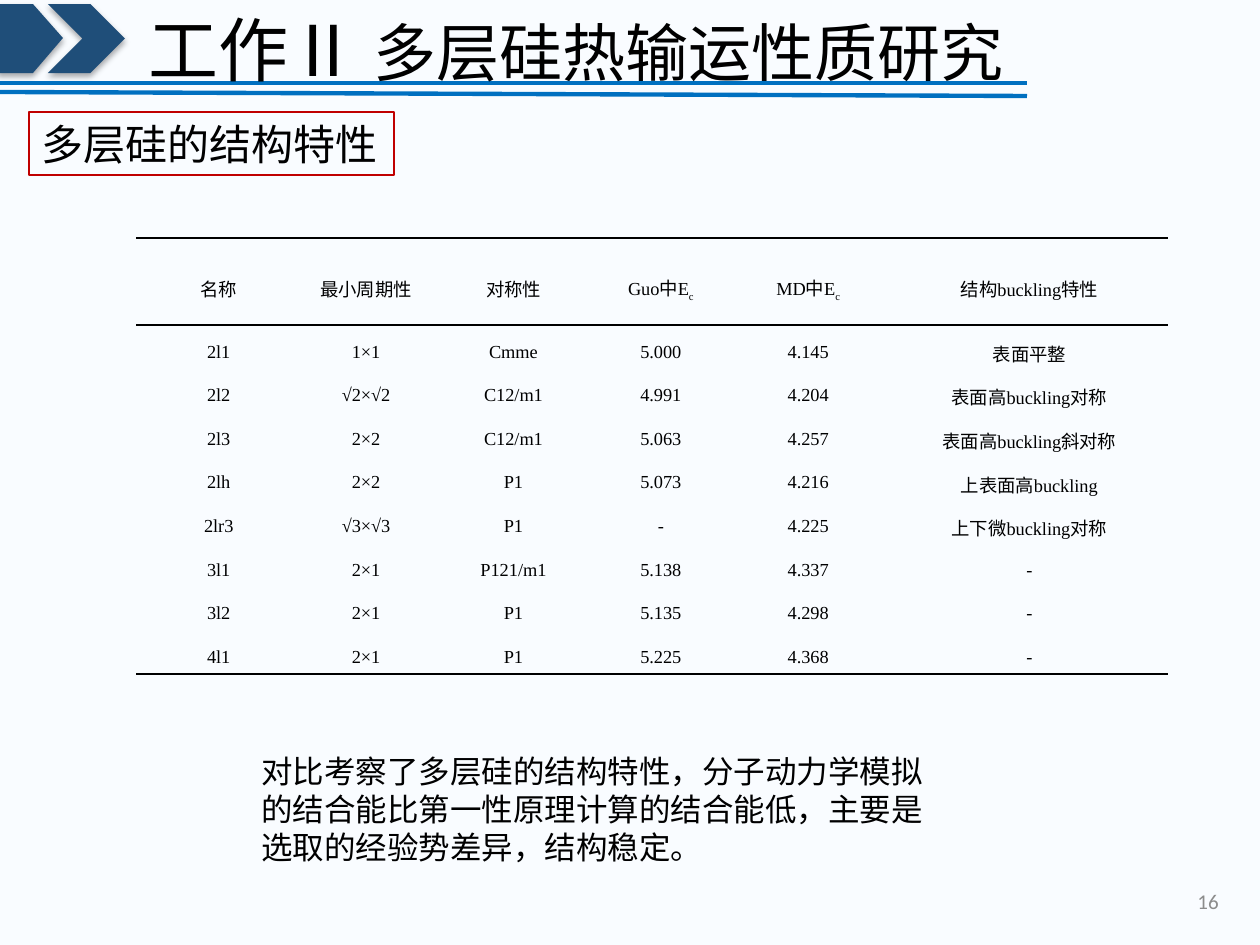
from dataclasses import dataclass
from lxml import etree
from pptx import Presentation
from pptx.dml.color import RGBColor
from pptx.enum.shapes import MSO_CONNECTOR, MSO_SHAPE
from pptx.enum.text import MSO_ANCHOR, PP_ALIGN
from pptx.oxml import parse_xml
from pptx.oxml.ns import nsdecls, qn
from pptx.util import Emu, Pt


@dataclass(frozen=True)
class Theme:
    background: str = "F9FCFF"
    chevron: str = "1F4E79"
    rule: str = "0070C0"
    frame: str = "C00000"
    ink: str = "000000"
    muted: str = "8C8C8C"
    body_font: str = "Calibri"
    table_font: str = "Times New Roman"
    title_size: float = 40
    subtitle_size: float = 36
    heading_size: float = 24
    note_size: float = 18
    number_size: float = 12
    table_size: float = 10.5


T = Theme()
TITLE = [("工作Ⅱ ", T.title_size), ("多层硅热输运性质研究", T.subtitle_size)]
HEADING = "多层硅的结构特性"
NOTE = "对比考察了多层硅的结构特性，分子动力学模拟的结合能比第一性原理计算的结合能低，主要是选取的经验势差异，结构稳定。"
PAGE = "16"
SUBSCRIPT = "c"
ENERGY_COLS = (3, 4)
ROWS = [
    ("名称", "最小周期性", "对称性", "Guo中E", "MD中E", "结构buckling特性"),
    ("2l1", "1×1", "Cmme", "5.000", "4.145", "表面平整"),
    ("2l2", "√2×√2", "C12/m1", "4.991", "4.204", "表面高buckling对称"),
    ("2l3", "2×2", "C12/m1", "5.063", "4.257", "表面高buckling斜对称"),
    ("2lh", "2×2", "P1", "5.073", "4.216", "上表面高buckling"),
    ("2lr3", "√3×√3", "P1", "-", "4.225", "上下微buckling对称"),
    ("3l1", "2×1", "P121/m1", "5.138", "4.337", "-"),
    ("3l2", "2×1", "P1", "5.135", "4.298", "-"),
    ("4l1", "2×1", "P1", "5.225", "4.368", "-"),
]
COL_SHARES = (1, 1, 1, 1, 1, 2)
TABLE_BOX = (136, 238, 1032, 436)
HEADER_H = 87
RULES = [(0, 92, 1027, 96), (0, 83, 1027, 83)]
NO_STYLE = "{2D5ABB26-0587-4C30-8999-92F81FD0307C}"


def px(n):
    return Emu(round(n * 914400 / 126))


def rgb(color):
    return RGBColor.from_string(color)


def style(r, size, font=T.body_font, color=T.ink):
    r.font.size = Pt(size)
    r.font.name = font
    r.font.color.rgb = rgb(color)


def add_text(slide, box, runs, color=T.ink, align=PP_ALIGN.LEFT, anchor=MSO_ANCHOR.TOP, wrap=True):
    sp = slide.shapes.add_textbox(*map(px, box))
    tf = sp.text_frame
    tf.word_wrap = wrap
    tf.vertical_anchor = anchor
    p = tf.paragraphs[0]
    p.alignment = align
    for text, size in runs:
        r = p.add_run()
        r.text = text
        style(r, size, color=color)
    return sp


def finish_chevron(sp):
    sp.fill.solid()
    sp.fill.fore_color.rgb = rgb(T.chevron)
    sp.line.fill.background()
    sp._element.spPr.append(parse_xml(
        f'<a:effectLst {nsdecls("a")}><a:outerShdw blurRad="{Pt(3.5)}" dist="{Pt(2.2)}" '
        f'dir="5400000" rotWithShape="0"><a:srgbClr val="{T.ink}"><a:alpha val="32000"/>'
        '</a:srgbClr></a:outerShdw></a:effectLst>'))


def add_header(slide):
    chevron = slide.shapes.add_shape(MSO_SHAPE.CHEVRON, *map(px, (48, 4, 77, 69)))
    finish_chevron(chevron)
    points = [(-2, 4), (33, 4), (63, 38), (33, 73), (-2, 73)]
    builder = slide.shapes.build_freeform(*points[0], scale=px(1))
    builder.add_line_segments(points[1:], close=True)
    finish_chevron(builder.convert_to_shape())
    for ends in RULES:
        line = slide.shapes.add_connector(MSO_CONNECTOR.STRAIGHT, *map(px, ends))
        line.line.color.rgb = rgb(T.rule)
        line.line.width = Pt(2.5)
        etree.SubElement(line._element.spPr, qn("a:effectLst"))


def set_borders(cell, **widths):
    tcPr = cell._tc.get_or_add_tcPr()
    for i, side in enumerate("LRTB"):
        width = widths.get(side)
        fill = f'<a:solidFill><a:srgbClr val="{T.ink}"/></a:solidFill>' if width else "<a:noFill/>"
        tcPr.insert(i, parse_xml(
            f'<a:ln{side} {nsdecls("a")} w="{Pt(width or 0)}">{fill}</a:ln{side}>'))


def fill_cell(cell, text, subscript):
    cell.fill.background()
    cell.vertical_anchor = MSO_ANCHOR.MIDDLE
    cell.margin_left = cell.margin_right = px(9)
    cell.margin_top = cell.margin_bottom = 0
    p = cell.text_frame.paragraphs[0]
    p.text = text
    p.alignment = PP_ALIGN.CENTER
    p.line_spacing = 1.5
    p._p.get_or_add_pPr().set("indent", str(px(18)))
    if subscript:
        r = p.add_run()
        r.text = SUBSCRIPT
        r._r.get_or_add_rPr().set("baseline", "-25000")
    for r in p.runs:
        style(r, T.table_size, T.table_font)


def add_energy_table(slide):
    width, height = TABLE_BOX[2:]
    last = len(ROWS) - 1
    frame = slide.shapes.add_table(len(ROWS), len(COL_SHARES), *map(px, TABLE_BOX))
    table = frame.table
    table.first_row = table.horz_banding = False
    table._tbl.tblPr.find(qn("a:tableStyleId")).text = NO_STYLE
    for col, share in zip(table.columns, COL_SHARES):
        col.width = px(width * share / sum(COL_SHARES))
    edges = {0: {"T": 1.5, "B": 1}, 1: {"T": 1}, last: {"B": 1.5}}
    for i, values in enumerate(ROWS):
        table.rows[i].height = px((height - HEADER_H) / last if i else HEADER_H)
        for j, text in enumerate(values):
            cell = table.cell(i, j)
            fill_cell(cell, text, i == 0 and j in ENERGY_COLS)
            set_borders(cell, **edges.get(i, {}))


def main():
    prs = Presentation()
    prs.slide_width, prs.slide_height = px(1260), px(945)
    slide = prs.slides.add_slide(prs.slide_layouts[6])
    slide.background.fill.solid()
    slide.background.fill.fore_color.rgb = rgb(T.background)
    add_header(slide)
    add_energy_table(slide)
    add_text(slide, (136, 0, 941, 97), TITLE)
    add_text(slide, (937, 876, 294, 50), [(PAGE, T.number_size)], T.muted,
             PP_ALIGN.RIGHT, MSO_ANCHOR.MIDDLE)
    heading = add_text(slide, (29, 112, 365, 63), [(HEADING, T.heading_size)], wrap=False)
    heading.line.color.rgb = rgb(T.frame)
    heading.line.width = Pt(1.5)
    add_text(slide, (249, 746, 687, 127), [(NOTE, T.note_size)])
    prs.save("out.pptx")


if __name__ == "__main__":
    main()
